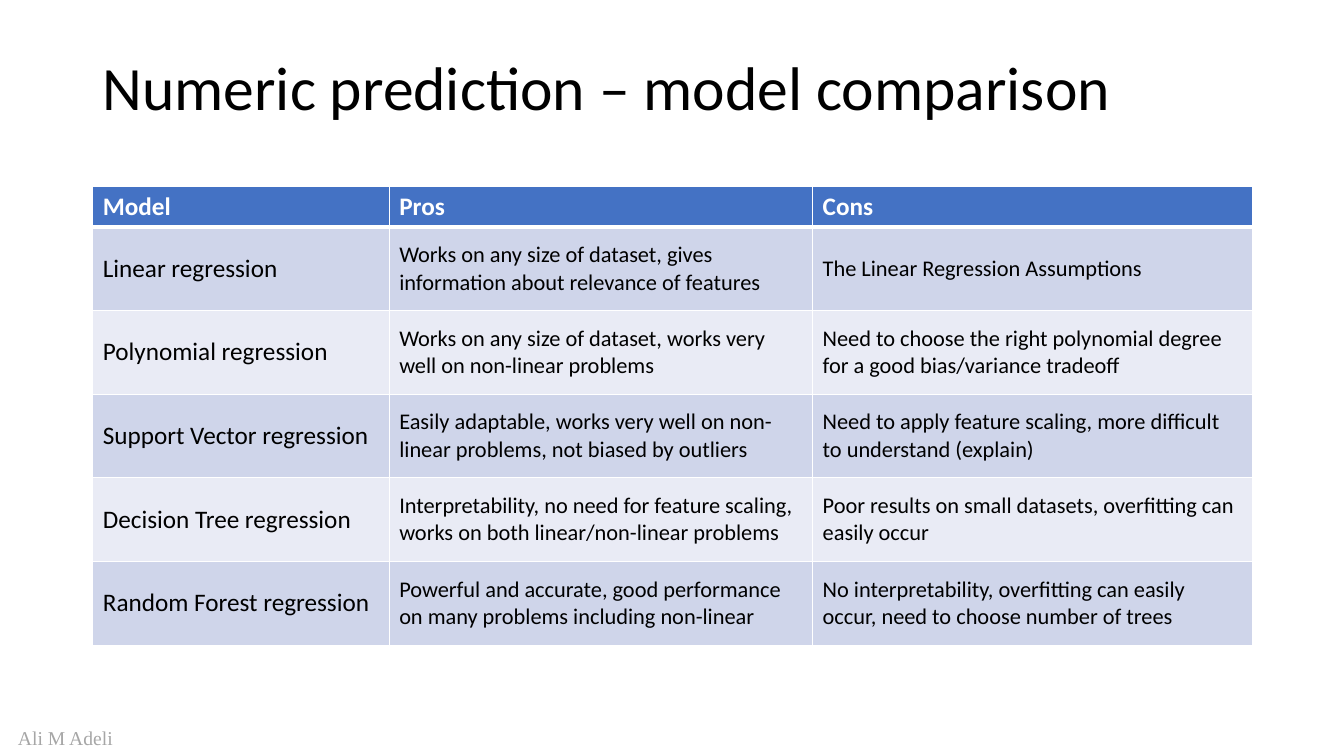
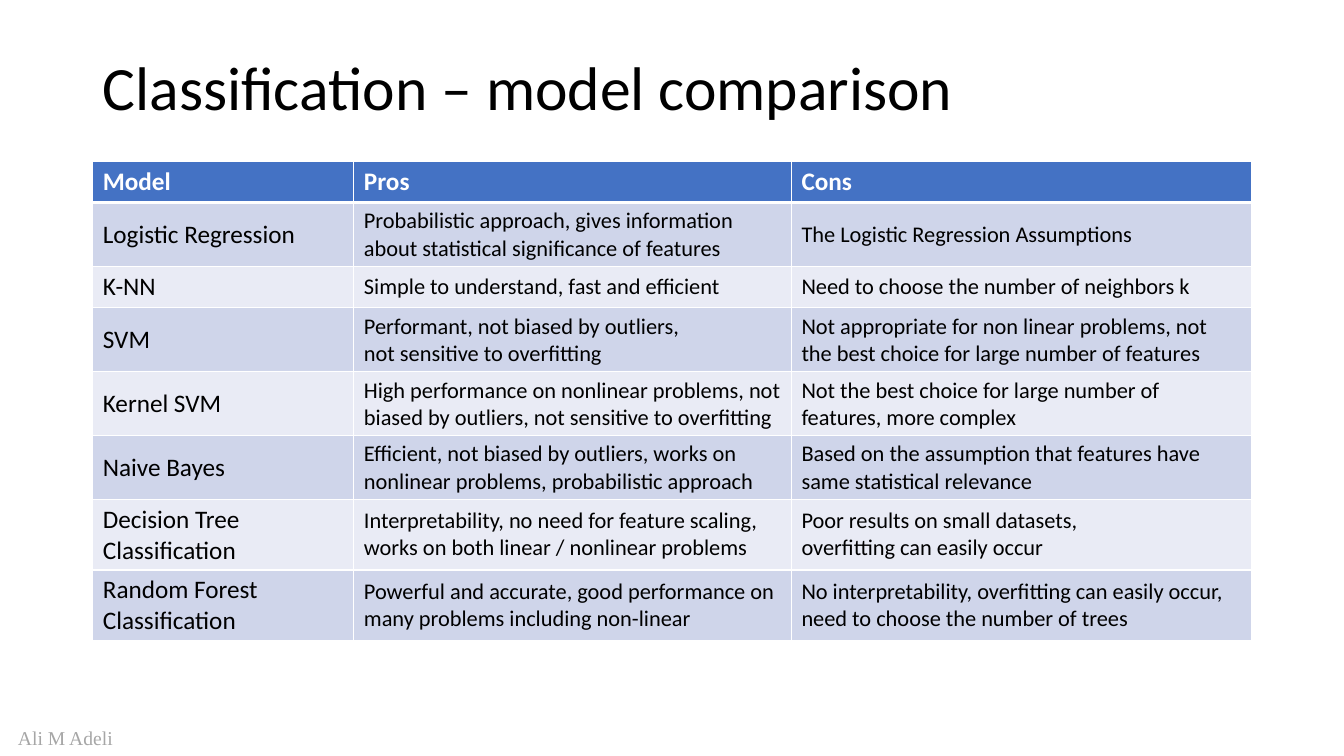
import pptx
import pptx.util
import pptx.dml.color
import pptx.enum.text
import pptx.oxml
import pptx.oxml.ns

Inches = pptx.util.Inches
ANCHOR = pptx.enum.text.MSO_ANCHOR


def color(value):
    return pptx.dml.color.RGBColor.from_string(value)


def write(frame, text, size=16, font="Calibri", fill="000000", bold=False,
          anchor=ANCHOR.TOP, wrap=True, spacing=None):
    """Fill a text frame, one paragraph per line of text."""
    frame.word_wrap = wrap
    frame.vertical_anchor = anchor
    frame.text = text
    for para in frame.paragraphs:
        para.line_spacing = spacing
        para.font.size = pptx.util.Pt(size)
        para.font.name = font
        para.font.bold = bold
        para.font.color.rgb = color(fill)


class Deck:
    WHITE, HEAD, BANDS, GRAY = "FFFFFF", "4472C4", ("CFD5EA", "E9EBF5"), "A6A6A6"
    LEFT, WIDTH = 0.92, 11.5

    def __init__(self):
        self.prs = pptx.Presentation()
        self.prs.slide_width = Inches(13.33)
        self.prs.slide_height = Inches(7.5)
        self.slide = None

    def page(self, title):
        """Start a slide with the shared footer and title."""
        self.slide = self.prs.slides.add_slide(self.prs.slide_layouts[6])
        self.text("Ali M Adeli", 0.08, 7.15, 1.47, 0.34, size=14,
                  font="Times New Roman", fill=self.GRAY, wrap=False)
        self.text(title, self.LEFT, 0.4, self.WIDTH, 1, size=44,
                  anchor=ANCHOR.MIDDLE, spacing=0.9)

    def text(self, words, left, top, width, height, **style):
        box = self.slide.shapes.add_textbox(
            Inches(left), Inches(top), Inches(width), Inches(height))
        write(box.text_frame, words, **style)

    def border(self, cell, **widths):
        """Draw white cell borders; sides come in schema order L, R, T, B."""
        props = cell._tc.get_or_add_tcPr()
        for side, points in widths.items():
            props.append(pptx.oxml.parse_xml(
                f'<a:ln{side} {pptx.oxml.ns.nsdecls("a")} w="{pptx.util.Pt(points)}">'
                f'<a:solidFill><a:srgbClr val="{self.WHITE}"/></a:solidFill></a:ln{side}>'))

    def table(self, top, widths, head, height, rows):
        """Add a comparison table with a header row and banded body rows."""
        rows = [("Model", "Pros", "Cons")] + rows
        heights = [head] + [height] * (len(rows) - 1)
        grid = self.slide.shapes.add_table(
            len(rows), len(widths), Inches(self.LEFT), Inches(top),
            Inches(self.WIDTH), Inches(sum(heights))).table
        grid.horz_banding = False
        for col, width in zip(grid.columns, widths):
            col.width = Inches(width)
        for r, row in enumerate(rows):
            grid.rows[r].height = Inches(heights[r])
            for c, words in enumerate(row):
                cell = grid.cell(r, c)
                self.border(cell, L=1, R=1, T=3 if r == 1 else 1, B=3 if r == 0 else 1)
                cell.fill.solid()
                if r == 0:
                    back, style = self.HEAD, dict(size=18, fill=self.WHITE, bold=True)
                else:
                    back, style = self.BANDS[(r - 1) % 2], dict(size=16 if c else 18)
                    cell.vertical_anchor = ANCHOR.MIDDLE
                cell.fill.fore_color.rgb = color(back)
                anchor = cell.vertical_anchor
                write(cell.text_frame, words, wrap=None, anchor=None, **style)
                cell.vertical_anchor = anchor


def main():
    deck = Deck()

    # Regression models
    deck.page("Numeric prediction – model comparison")
    deck.table(1.85, (2.94, 4.2, 4.36), 0.35, 0.83, [
        ("Linear regression",
         "Works on any size of dataset, gives\ninformation about relevance of features",
         "The Linear Regression Assumptions"),
        ("Polynomial regression",
         "Works on any size of dataset, works very well on non-linear problems",
         "Need to choose the right polynomial degree for a good bias/variance tradeoff"),
        ("Support Vector regression",
         "Easily adaptable, works very well on non-linear problems, not biased by outliers",
         "Need to apply feature scaling, more difficult to understand (explain)"),
        ("Decision Tree regression",
         "Interpretability, no need for feature scaling, works on both linear/non-linear problems",
         "Poor results on small datasets, overfitting can easily occur"),
        ("Random Forest regression",
         "Powerful and accurate, good performance on many problems including non-linear",
         "No interpretability, overfitting can easily occur, need to choose number of trees"),
    ])

    # Classification models
    deck.page("Classification – model comparison")
    deck.table(1.6, (2.59, 4.34, 4.56), 0.41, 0.41, [
        ("Logistic Regression",
         "Probabilistic approach, gives information about statistical significance of features",
         "The Logistic Regression Assumptions"),
        ("K-NN",
         "Simple to understand, fast and efficient",
         "Need to choose the number of neighbors k"),
        ("SVM",
         "Performant, not biased by outliers,\nnot sensitive to overfitting",
         "Not appropriate for non linear problems, not the best choice for large number of features"),
        ("Kernel SVM",
         "High performance on nonlinear problems, not biased by outliers, not sensitive to overfitting",
         "Not the best choice for large number of features, more complex"),
        ("Naive Bayes",
         "Efficient, not biased by outliers, works on nonlinear problems, probabilistic approach",
         "Based on the assumption that features have same statistical relevance"),
        ("Decision Tree Classification",
         "Interpretability, no need for feature scaling, works on both linear / nonlinear problems",
         "Poor results on small datasets,\noverfitting can easily occur"),
        ("Random Forest Classification",
         "Powerful and accurate, good performance on many problems including non-linear",
         "No interpretability, overfitting can easily occur, need to choose the number of trees"),
    ])

    deck.prs.save("out.pptx")


if __name__ == "__main__":
    main()
